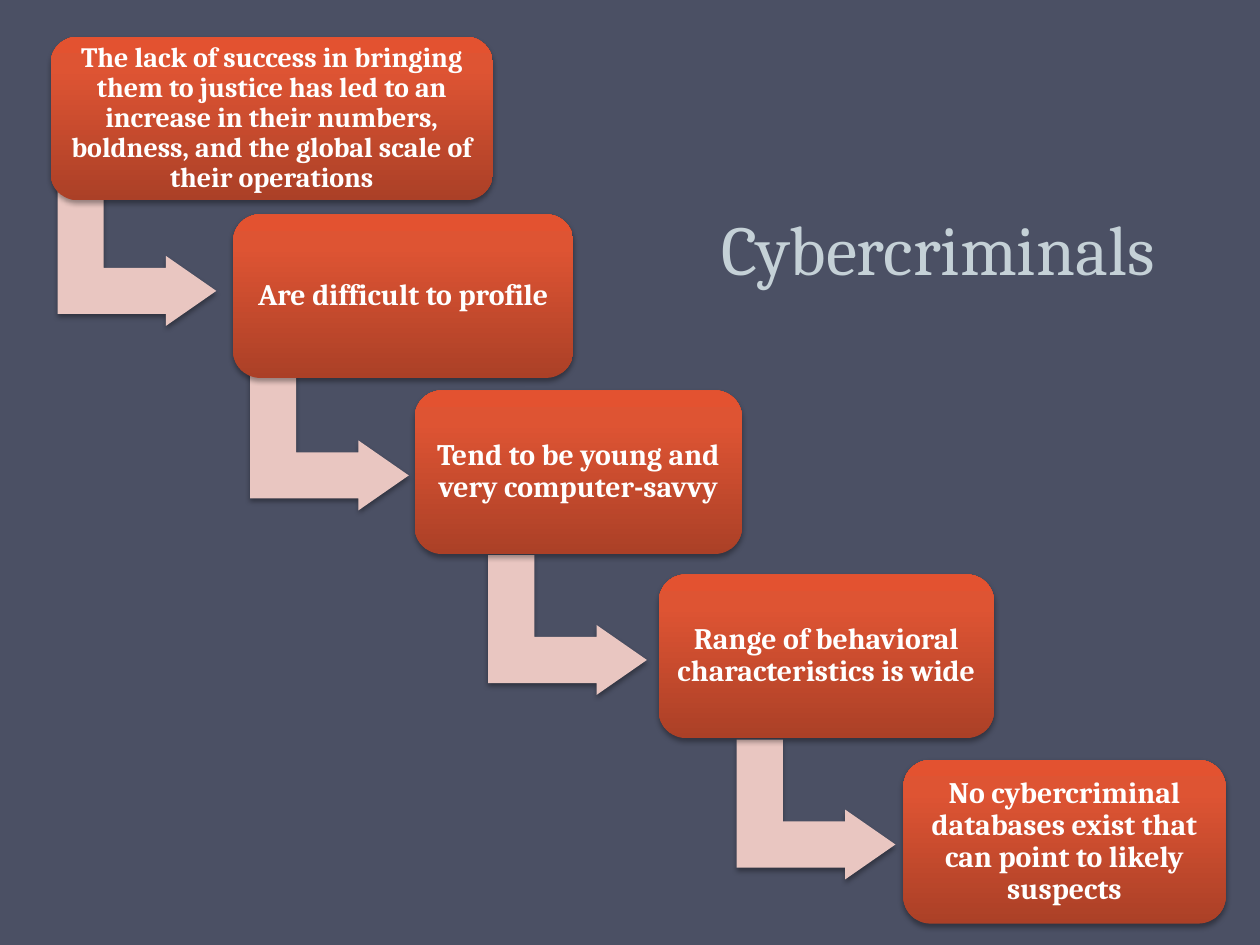
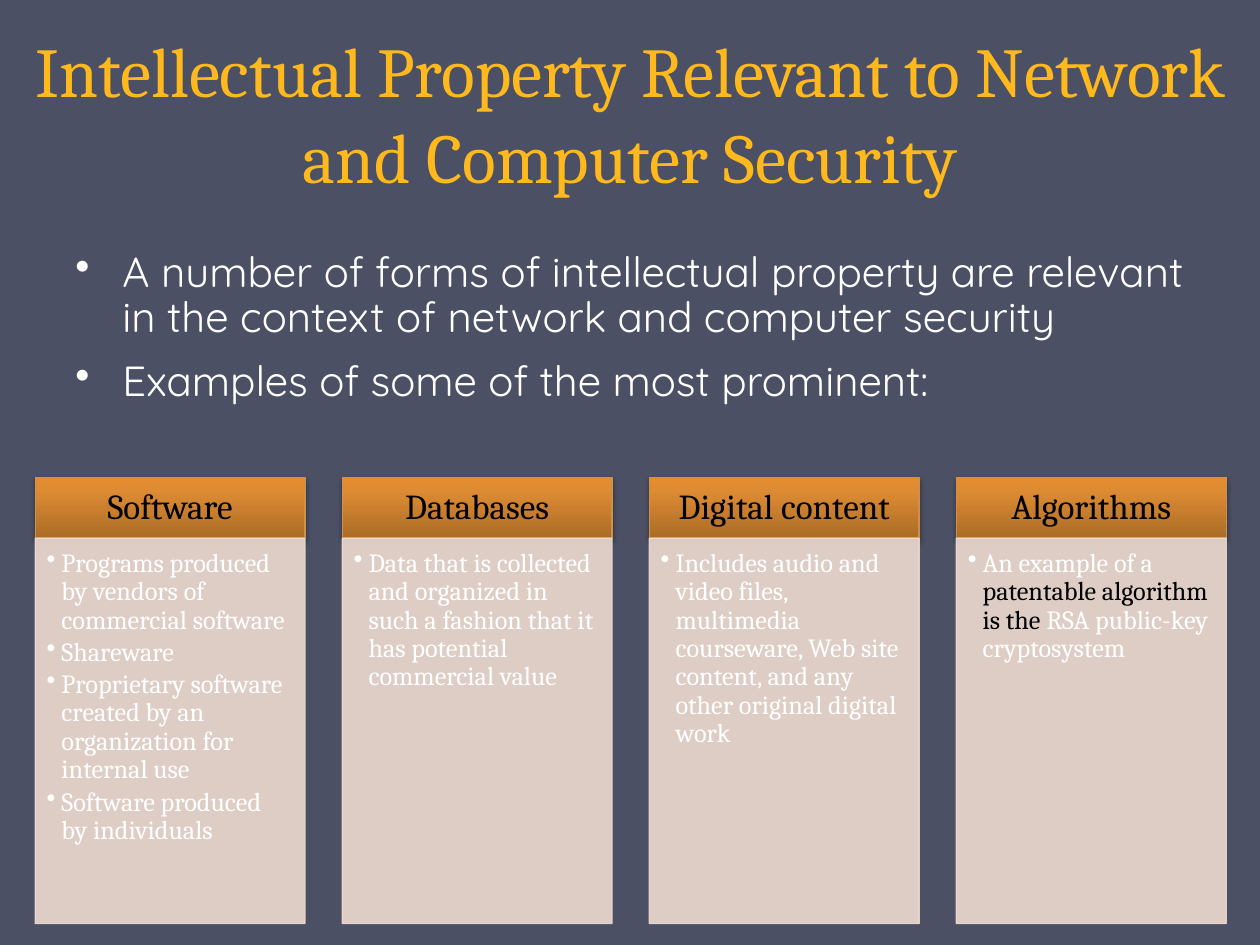
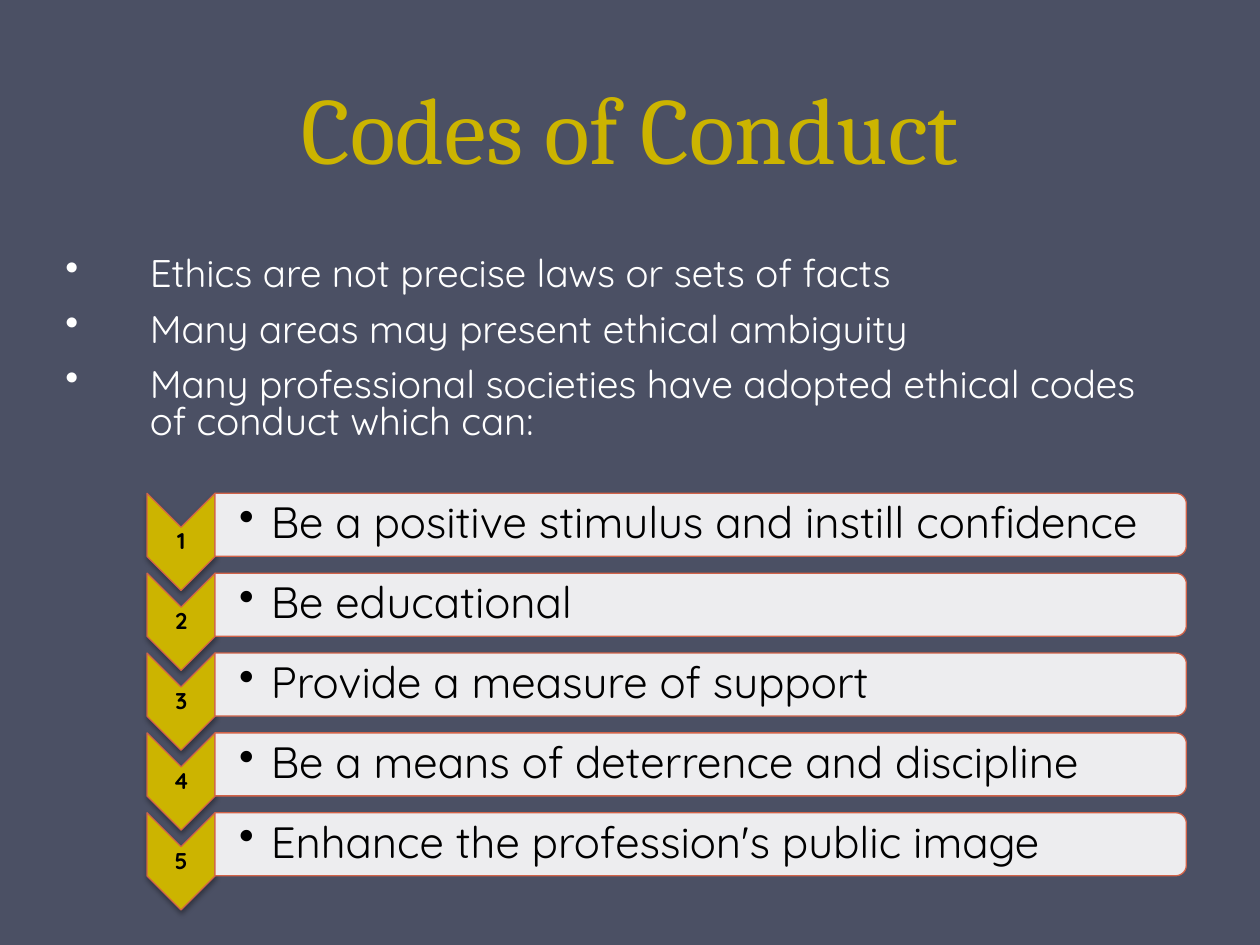
from lxml import etree
from pptx import Presentation
from pptx.dml.color import RGBColor
from pptx.enum.shapes import MSO_SHAPE
from pptx.enum.text import MSO_ANCHOR, MSO_AUTO_SIZE, PP_ALIGN
from pptx.oxml.ns import qn
from pptx.util import Cm, Pt

CENTER, LEFT = PP_ALIGN.CENTER, PP_ALIGN.LEFT
TOP, MIDDLE, BOTTOM = MSO_ANCHOR.TOP, MSO_ANCHOR.MIDDLE, MSO_ANCHOR.BOTTOM
RECT, ROUNDED = MSO_SHAPE.RECTANGLE, MSO_SHAPE.ROUNDED_RECTANGLE
BENT_ARROW, CHEVRON = MSO_SHAPE.BENT_UP_ARROW, MSO_SHAPE.CHEVRON
BAR = MSO_SHAPE.ROUND_2_SAME_RECTANGLE
NO_AUTOFIT = MSO_AUTO_SIZE.NONE
TITLE_ONLY = 5

SERIF, SANS = "Cambria", "Quicksand"
COLORS = {
    "background": "4B5064",
    "white": "FFFFFF",
    "black": "000000",
    "pale_title": "C5D1D7",
    "amber_title": "FFB91D",
    "gold": "CCB400",
    "arrow": "E9C6C1",
    "card": "EEDBD0",
    "card_edge": "D19049",
    "bar_edge": "D16349",
}
RED_GRADIENT = [(0, "AB4027"), (80, "DE5433"), (100, "E35230")]
ORANGE_GRADIENT = [(0, "AB6C27"), (80, "DE8C33"), (100, "E38D30")]

STEP_HEIGHT = 3.3
STEPS = [
    (1.02, 0.74, 8.92, 16, "The lack of success in bringing them to justice has led to an "
     "increase in their numbers, boldness, and the global scale of their operations"),
    (4.7, 4.32, 6.86, 17, "Are difficult to profile"),
    (8.36, 7.87, 6.6, 17, "Tend to be young and very computer-savvy"),
    (13.28, 11.58, 6.76, 17, "Range of behavioral characteristics is wide"),
    (18.21, 15.32, 6.5, 17, "No cybercriminal databases exist that can point to likely suspects"),
]
ARROW_LEFTS = [1.35, 5.23, 10.03, 15.04]
ARROW_TOP, ARROW_PITCH = 3.56, 3.72

PROPERTY_POINTS = [
    "A number of forms of intellectual property are relevant in the context of "
    "network and computer security",
    "Examples of some of the most prominent:",
]
CARDS = [
    ("Software", [
        "Programs produced by vendors of commercial software",
        "Shareware",
        "Proprietary software created by an organization for internal use",
        "Software produced by individuals",
    ]),
    ("Databases", [
        "Data that is collected and organized in such a fashion that it has "
        "potential commercial value",
    ]),
    ("Digital content", [
        "Includes audio and video files, multimedia courseware, Web site content, "
        "and any other original digital work",
    ]),
    ("Algorithms", [[
        ("An example of a ", "white"),
        ("patentable algorithm is the ", "black"),
        ("RSA public-key cryptosystem", "white"),
    ]]),
]
CARD_LEFT, CARD_PITCH, CARD_WIDTH = 0.71, 6.19, 5.44

ETHICS_POINTS = [
    "Ethics are not precise laws or sets of facts",
    "Many areas may present ethical ambiguity",
    "Many professional societies have adopted ethical codes of conduct which can:",
]
CODE_BENEFITS = [
    "Be a positive stimulus and instill confidence",
    "Be educational",
    "Provide a measure of support",
    "Be a means of deterrence and discipline",
    "Enhance the profession's public image",
]
BENEFIT_PITCH = 1.61


def rgb(name):
    return RGBColor.from_string(COLORS[name])


def set_bullet(p, indent):
    pPr = p._p.get_or_add_pPr()
    pPr.set("marL", str(Cm(indent)))
    pPr.set("indent", str(-Cm(indent)))
    etree.SubElement(pPr, qn("a:buChar"), char="•")


def write(s, paragraphs, font, size, color, bold=False, align=LEFT, anchor=TOP,
          insets=(0.25, 0.13, 0.25, 0.13), spacing=0.9, before=0, after=0, indent=None):
    tf = s.text_frame
    tf.word_wrap = True
    tf.auto_size = NO_AUTOFIT
    tf.vertical_anchor = anchor
    tf.margin_left, tf.margin_top, tf.margin_right, tf.margin_bottom = map(Cm, insets)
    for i, content in enumerate(paragraphs):
        p = tf.add_paragraph() if i else tf.paragraphs[0]
        if indent:
            set_bullet(p, indent)
        p.alignment = align
        p.line_spacing = spacing
        p.space_before = Pt(before if i else 0)
        p.space_after = Pt(after)
        runs = [(content, color)] if isinstance(content, str) else content
        for text, run_color in runs:
            r = p.add_run()
            r.text = text
            r.font.name = font
            r.font.size = Pt(size)
            r.font.bold = bold
            r.font.color.rgb = rgb(run_color)


def place(s, left, top, width, height):
    s.left, s.top, s.width, s.height = map(Cm, (left, top, width, height))


def add_title_slide(prs, title, box, size, color, spacing):
    slide = prs.slides.add_slide(prs.slide_layouts[TITLE_ONLY])
    place(slide.shapes.title, *box)
    write(slide.shapes.title, [title], SERIF, size, color, align=CENTER,
          anchor=BOTTOM, spacing=Pt(spacing))
    return slide


def add_text(slide, box, paragraphs, *style, **options):
    s = slide.shapes.add_textbox(*map(Cm, box))
    write(s, paragraphs, *style, **options)


def set_gradient(s, stops):
    s.fill.gradient()
    s.fill.gradient_angle = 90
    gs_list = s.element.spPr.find(qn("a:gradFill")).find(qn("a:gsLst"))
    for gs in list(gs_list):
        gs_list.remove(gs)
    for position, color in stops:
        gs = etree.SubElement(gs_list, qn("a:gs"), pos=str(position * 1000))
        etree.SubElement(gs, qn("a:srgbClr"), val=color)


def add_shadow(s):
    effects = s.element.spPr.find(qn("a:effectLst"))
    shadow = etree.SubElement(effects, qn("a:outerShdw"), blurRad=str(Pt(3.1)),
                              dist=str(Pt(1.8)), dir="5400000", rotWithShape="0")
    color = etree.SubElement(shadow, qn("a:srgbClr"), val=COLORS["black"])
    etree.SubElement(color, qn("a:alpha"), val="35000")


def set_opacity(parent, percent):
    for color in parent.iter(qn("a:srgbClr")):
        etree.SubElement(color, qn("a:alpha"), val=str(percent * 1000))


def add_figure(slide, kind, box, fill, line=None, rotation=0, shadow=True):
    s = slide.shapes.add_shape(kind, *map(Cm, box))
    s.rotation = rotation
    s.shadow.inherit = False
    if shadow:
        add_shadow(s)
    if isinstance(fill, list):
        set_gradient(s, fill)
    else:
        s.fill.solid()
        s.fill.fore_color.rgb = rgb(fill)
    if line:
        s.line.color.rgb = rgb(line)
        s.line.width = Pt(0.75)
    else:
        s.line.fill.background()
    return s


def add_step_arrow(slide, left, top):
    s = add_figure(slide, BENT_ARROW, (left, top, 2.82, 3.2), "arrow", rotation=90)
    for i, value in enumerate((0.33, 0.25, 0.36)):
        s.adjustments[i] = value


def add_step(slide, left, top, width, size, text):
    s = add_figure(slide, ROUNDED, (left, top, width, STEP_HEIGHT), RED_GRADIENT)
    write(s, [text], SERIF, size, "white", bold=True, align=CENTER, anchor=MIDDLE,
          insets=(0.18,) * 4)


def add_card(slide, left, heading, points):
    head = add_figure(slide, RECT, (left, 9.63, CARD_WIDTH, 1.22), ORANGE_GRADIENT, "card_edge")
    write(head, [heading], SERIF, 20, "black", align=CENTER, anchor=MIDDLE,
          insets=(0.41, 0.23, 0.41, 0.23))
    body = add_figure(slide, RECT, (left, 10.85, CARD_WIDTH, 7.77), "card", "card", shadow=False)
    set_opacity(body.element.spPr, 90)
    write(body, points, SERIF, 15, "white", insets=(0.23, 0.23, 0.3, 0.33),
          after=2.25, indent=0.3)


def add_benefit(slide, number, text):
    offset = (number - 1) * BENEFIT_PITCH
    add_figure(slide, CHEVRON, (2.67, 10.24 + offset, 1.96, 1.37), "gold", "bar_edge", rotation=90)
    add_text(slide, (2.97, 10.64 + offset, 1.37, 0.58), [str(number)], SANS, 13, "black",
             bold=True, align=CENTER, anchor=MIDDLE, insets=(0.02,) * 4)
    bar = add_figure(slide, BAR, (13.49, 0.79 + offset, 1.27, 19.58), "white", "bar_edge",
                     rotation=90, shadow=False)
    set_opacity(bar.element.spPr.find(qn("a:solidFill")), 90)
    add_text(slide, (4.34, 10.01 + offset, 19.53, 1.14), [text], SANS, 25, "black",
             anchor=MIDDLE, insets=(0.48, 0.04, 0.04, 0.04), indent=0.64)


def build_cybercriminals(prs):
    slide = add_title_slide(prs, "Cybercriminals", (13.69, 1.52, 10.44, 4.45),
                            40, "pale_title", 58)
    for i, step in enumerate(STEPS):
        if i < len(ARROW_LEFTS):
            add_step_arrow(slide, ARROW_LEFTS[i], ARROW_TOP + i * ARROW_PITCH)
        add_step(slide, *step)


def build_intellectual_property(prs):
    slide = add_title_slide(
        prs, "Intellectual Property Relevant to Network and Computer Security",
        (0, -0.89, 25.4, 5), 40, "amber_title", 49)
    add_text(slide, (1.27, 4.93, 22.86, 12.09), PROPERTY_POINTS, SANS, 24, "white",
             before=4.8, after=6, indent=0.95)
    for i, (heading, points) in enumerate(CARDS):
        add_card(slide, CARD_LEFT + i * CARD_PITCH, heading, points)


def build_codes_of_conduct(prs):
    slide = add_title_slide(prs, "Codes of Conduct", (1.27, 0.64, 22.86, 3.18),
                            54, "gold", 58)
    add_text(slide, (1.07, 5.08, 22.86, 4.65), ETHICS_POINTS, SANS, 22, "white",
             spacing=0.8, before=4.4, after=6, indent=1.7)
    for number, text in enumerate(CODE_BENEFITS, 1):
        add_benefit(slide, number, text)


def main():
    prs = Presentation()
    prs.slide_width, prs.slide_height = Cm(25.4), Cm(19.05)
    background = prs.slide_master.background.fill
    background.solid()
    background.fore_color.rgb = rgb("background")
    build_cybercriminals(prs)
    build_intellectual_property(prs)
    build_codes_of_conduct(prs)
    prs.save("out.pptx")


if __name__ == "__main__":
    main()
